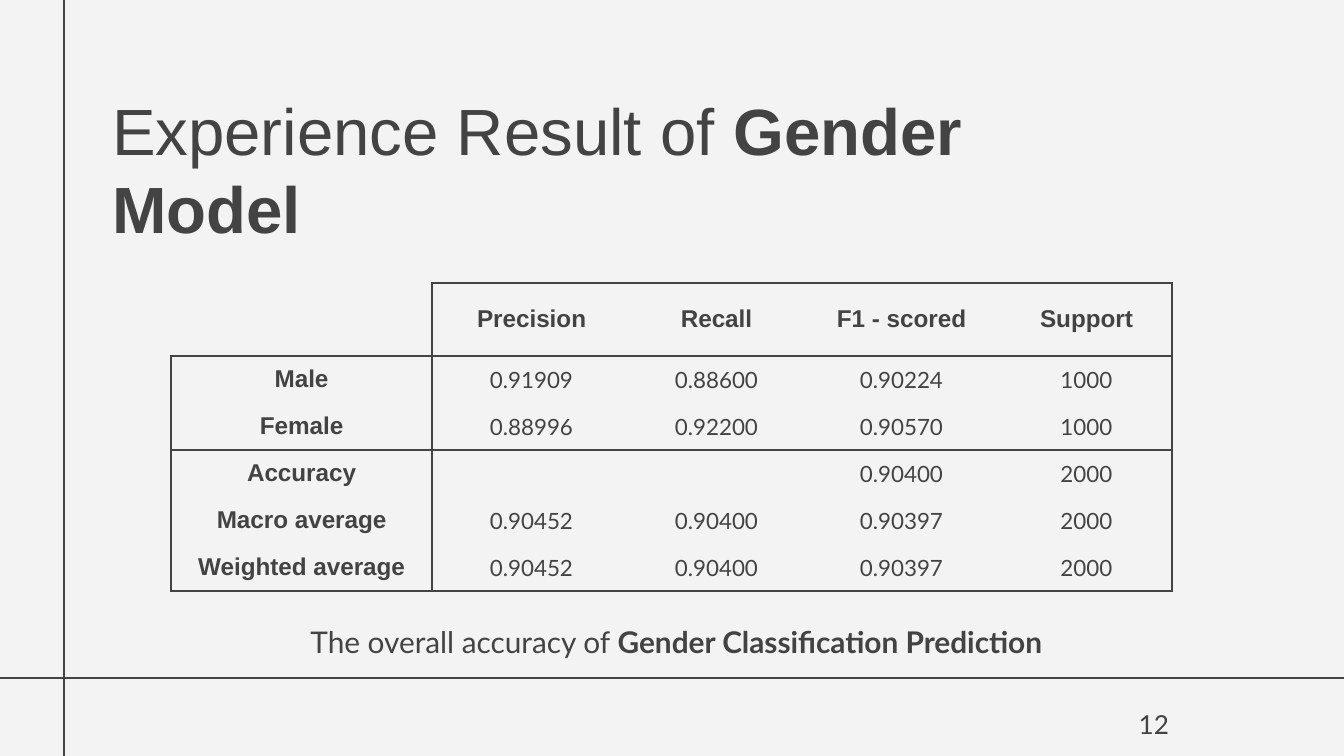
"""Build the slide with the result table of the gender model."""
import pptx
import pptx.dml.color
import pptx.enum.shapes
import pptx.enum.text
import pptx.oxml
import pptx.oxml.ns
import pptx.util

PX = 914400 / 134.4
INK = pptx.dml.color.RGBColor(0x43, 0x43, 0x43)
PAPER = pptx.dml.color.RGBColor(0xF3, 0xF3, 0xF3)
ALIGN = pptx.enum.text.PP_ALIGN
ANCHOR = pptx.enum.text.MSO_ANCHOR

RESULTS = [
    ["", "Precision", "Recall", "F1 - scored", "Support"],
    ["Male", "0.91909", "0.88600", "0.90224", "1000"],
    ["Female", "0.88996", "0.92200", "0.90570", "1000"],
    ["Accuracy", "", "", "0.90400", "2000"],
    ["Macro average", "0.90452", "0.90400", "0.90397", "2000"],
    ["Weighted average", "0.90452", "0.90400", "0.90397", "2000"],
]
COLUMN_WIDTHS = [261, 185, 185, 185, 185]
ROW_HEIGHTS = [73, 47, 47, 47, 47, 47]


def px(length):
    """Turn pixels into EMU."""
    return pptx.util.Emu(round(length * PX))


def assign(target, values):
    """Set every attribute named in a dict."""
    for name, value in values.items():
        setattr(target, name, value)


def write(frame, runs, font, size, align):
    """Fill a text frame with one paragraph of (text, bold) runs."""
    paragraph = frame.paragraphs[0]
    paragraph.alignment = align
    for text, bold in runs:
        run = paragraph.add_run()
        run.text = text
        assign(run.font, {"name": font, "size": pptx.util.Pt(size), "bold": bold})
        run.font.color.rgb = INK
    return paragraph


def format_frame(frame, top_inset=13):
    """Give a text frame its insets, wrapping and top anchor."""
    assign(frame, {
        "margin_left": px(13), "margin_right": px(13),
        "margin_top": px(top_inset), "margin_bottom": px(13),
        "word_wrap": True, "vertical_anchor": ANCHOR.TOP,
        "auto_size": pptx.enum.text.MSO_AUTO_SIZE.NONE,
    })


def add_title(slide, runs):
    """Place and format the title placeholder."""
    title = slide.shapes.title
    assign(title, {"left": px(99), "top": px(74), "width": px(917), "height": px(71)})
    format_frame(title.text_frame, top_inset=16)
    paragraph = write(title.text_frame, runs, "Arial", 35, ALIGN.LEFT)
    paragraph.line_spacing = pptx.util.Pt(42)


def add_text(slide, box, runs, size, align):
    """Add a text box in Lato."""
    frame = slide.shapes.add_textbox(*map(px, box)).text_frame
    format_frame(frame)
    write(frame, runs, "Lato", size, align)


def add_rule(slide, *ends):
    """Add a thin straight line."""
    rule = slide.shapes.add_connector(
        pptx.enum.shapes.MSO_CONNECTOR.STRAIGHT, *map(px, ends))
    rule.line.color.rgb = INK
    rule.line.width = pptx.util.Pt(0.75)
    rule._element.spPr.append(pptx.oxml.parse_xml(
        f"<a:effectLst {pptx.oxml.ns.nsdecls('a')}/>"))


def set_borders(cell, shown):
    """Draw or hide the left, right, top and bottom borders of a cell."""
    properties = cell._tc.get_or_add_tcPr()
    for position, (side, visible) in enumerate(zip("LRTB", shown)):
        fill = (f'<a:solidFill><a:srgbClr val="{INK}"/></a:solidFill>'
                if visible else "<a:noFill/>")
        properties.insert(position, pptx.oxml.parse_xml(
            f'<a:ln{side} {pptx.oxml.ns.nsdecls("a")} w="12700">{fill}</a:ln{side}>'))


def fill_cell(cell, text, row, column):
    """Write one result cell and draw the borders of its block."""
    inset = 9 if text else 0
    assign(cell, {
        "margin_left": px(27 if column else 13), "margin_right": px(13),
        "margin_top": px(inset), "margin_bottom": px(inset),
        "vertical_anchor": ANCHOR.MIDDLE,
    })
    if text:
        heading = row == 0 or column == 0
        font, size = ("Arial", 13) if heading else ("Lato", 12)
        write(cell.text_frame, [(text, heading)], font, size, ALIGN.CENTER)
    cell.fill.background()
    set_borders(cell, (
        column == 1 or (column == 0 and row > 0),
        column in (0, 4),
        row in (1, 3) or (row == 0 and column > 0),
        row in (0, 2, 5),
    ))


def add_results(slide):
    """Add the table of scores."""
    table = slide.shapes.add_table(
        len(ROW_HEIGHTS), len(COLUMN_WIDTHS), px(171), px(283),
        px(sum(COLUMN_WIDTHS)), px(sum(ROW_HEIGHTS))).table
    assign(table, {"first_row": False, "horz_banding": False})
    for column, width in zip(table.columns, COLUMN_WIDTHS):
        column.width = px(width)
    for row, height in zip(table.rows, ROW_HEIGHTS):
        row.height = px(height)
    for row, texts in enumerate(RESULTS):
        for column, text in enumerate(texts):
            fill_cell(table.cell(row, column), text, row, column)


def main():
    """Build and save the slide."""
    deck = pptx.Presentation()
    assign(deck, {"slide_width": px(1344), "slide_height": px(756)})
    slide = deck.slides.add_slide(deck.slide_layouts[5])
    slide.background.fill.solid()
    slide.background.fill.fore_color.rgb = PAPER

    add_rule(slide, 1348, 678, -4, 678)
    add_rule(slide, 64, 758, 64, -3)
    add_title(slide, [("Experience Result of ", False), ("Gender Model", True)])
    add_results(slide)
    add_text(slide, (1101, 695, 81, 58), [("12", False)], 14, ALIGN.RIGHT)
    add_text(slide, (171, 611, 1011, 58),
             [("The overall accuracy of ", False),
              ("Gender Classification Prediction", True)], 16, ALIGN.CENTER)
    deck.save("out.pptx")


if __name__ == "__main__":
    main()
